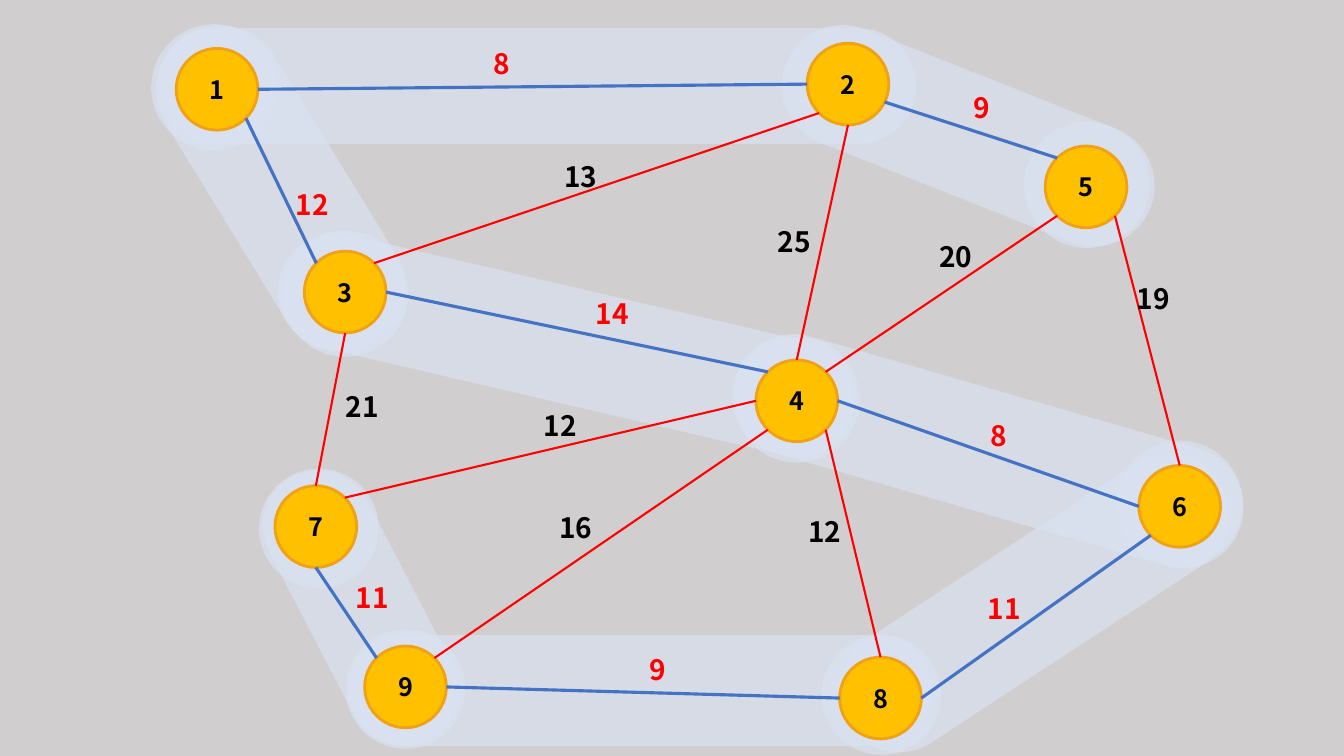
from dataclasses import dataclass
from enum import IntEnum
from math import cos, radians, sin

from lxml.etree import SubElement
from pptx import Presentation
from pptx.dml.color import RGBColor as RGB
from pptx.enum.shapes import MSO_CONNECTOR as LINE, MSO_SHAPE as SHAPE
from pptx.enum.text import MSO_ANCHOR as ANCHOR, MSO_AUTO_SIZE as FIT, PP_ALIGN as ALIGN
from pptx.oxml.ns import qn
from pptx.shapes.autoshape import Shape
from pptx.slide import Slide
from pptx.util import Cm, Pt


@dataclass(frozen=True)
class Theme:
    background: RGB = RGB.from_string("D0CECE")
    glow: RGB = RGB.from_string("DAE3F3")
    glow_alpha: int = 63
    node: RGB = RGB.from_string("FFC000")
    rim: RGB = RGB.from_string("F1A116")
    blue: RGB = RGB.from_string("4472C4")
    red: RGB = RGB.from_string("FF0000")
    black: RGB = RGB.from_string("000000")
    font: str = "Noto Sans CJK KR"
    node_size: Pt = Pt(18)
    weight_size: Pt = Pt(20)
    rim_width: Pt = Pt(2)
    tree_width: Pt = Pt(2.25)
    other_width: Pt = Pt(1.5)


class Side(IntEnum):
    RIGHT = 0
    LOWER_RIGHT = 45
    BOTTOM = 90
    LOWER_LEFT = 135
    LEFT = 180
    UPPER_LEFT = 225
    TOP = 270
    UPPER_RIGHT = 315


@dataclass(frozen=True)
class Node:
    x: float
    y: float

    def rim_point(self, angle: float) -> tuple[Cm, Cm]:
        a = radians(angle)
        return Cm(self.x + RADIUS * cos(a)), Cm(self.y + RADIUS * sin(a))


@dataclass(frozen=True)
class Glow:
    x: float
    y: float
    width: float
    height: float
    rotation: float = 0


@dataclass(frozen=True)
class Edge:
    start: int
    start_angle: float
    end: int
    end_angle: float
    weight: int
    label_x: float
    label_y: float
    in_tree: bool = False


THEME = Theme()
RADIUS = 1.03
NODES = {
    1: Node(5.47, 2.25), 2: Node(21.37, 2.12), 3: Node(8.7, 7.36),
    4: Node(20.08, 10.1), 5: Node(27.37, 4.71), 6: Node(29.73, 12.76),
    7: Node(7.96, 13.27), 8: Node(22.19, 17.59), 9: Node(10.22, 17.31),
}
GLOWS = [
    Glow(9.09, 15.32, 2.79, 7.47, 332.5), Glow(8.04, 13.32, 3.02, 3.02),
    Glow(16.13, 17.4, 2.79, 14.68, 270), Glow(10.22, 17.36, 3.02, 3.02),
    Glow(26.05, 15.19, 3.07, 11.23, 236.8), Glow(22.21, 17.51, 3.02, 3.02),
    Glow(24.9, 11.37, 3.07, 13.28, 286.1), Glow(29.73, 12.69, 3.18, 3.18),
    Glow(14.26, 8.69, 2.92, 14.83, 283.1), Glow(20.08, 10.07, 3.18, 3.18),
    Glow(7.07, 4.75, 3.23, 9.09, 328.5), Glow(8.7, 7.4, 3.18, 3.18),
    Glow(24.4, 3.42, 3.07, 9.88, 291.6), Glow(27.39, 4.66, 3.18, 3.18),
    Glow(13.53, 2.17, 2.92, 19.13, 270), Glow(5.4, 2.2, 3.18, 3.18),
]
EDGES = [
    Edge(1, Side.RIGHT, 2, Side.LEFT, 8, 12.19, 1.04, True),
    Edge(1, Side.LOWER_RIGHT, 3, Side.UPPER_LEFT, 12, 7.21, 4.6, True),
    Edge(5, Side.UPPER_LEFT, 2, 26, 9, 24.28, 2.16, True),
    Edge(3, Side.RIGHT, 4, Side.UPPER_LEFT, 14, 14.76, 7.34, True),
    Edge(4, Side.RIGHT, 6, Side.LEFT, 8, 24.71, 10.41, True),
    Edge(8, Side.RIGHT, 6, Side.LOWER_LEFT, 11, 24.64, 14.78, True),
    Edge(7, Side.BOTTOM, 9, Side.UPPER_LEFT, 11, 8.71, 14.5, True),
    Edge(9, Side.RIGHT, 8, Side.LEFT, 9, 16.13, 16.33, True),
    Edge(3, Side.UPPER_RIGHT, 2, Side.LOWER_LEFT, 13, 13.97, 3.89),
    Edge(2, Side.BOTTOM, 4, Side.TOP, 25, 19.35, 5.54),
    Edge(5, Side.LOWER_LEFT, 4, Side.UPPER_RIGHT, 20, 23.42, 5.92),
    Edge(5, Side.LOWER_RIGHT, 6, Side.TOP, 19, 28.4, 6.96),
    Edge(7, Side.TOP, 3, Side.BOTTOM, 21, 8.46, 9.7),
    Edge(7, Side.UPPER_RIGHT, 4, Side.LEFT, 12, 13.46, 10.16),
    Edge(4, Side.LOWER_LEFT, 9, Side.UPPER_RIGHT, 16, 13.84, 12.73),
    Edge(8, Side.TOP, 4, Side.LOWER_RIGHT, 12, 20.12, 12.83),
]


def add_centred(s: Slide, kind: SHAPE, x: float, y: float, w: float, h: float, fill: RGB) -> Shape:
    """Add a filled shape around a centre point."""
    sp = s.shapes.add_shape(kind, Cm(x - w / 2), Cm(y - h / 2), Cm(w), Cm(h))
    sp.shadow.inherit = False
    sp.fill.solid()
    sp.fill.fore_color.rgb = fill
    return sp


def write_number(sp: Shape, number: int, size: Pt, color: RGB) -> None:
    """Write one bold number into a shape."""
    p = sp.text_frame.paragraphs[0]
    p.text = str(number)
    p.font.name, p.font.size, p.font.bold = THEME.font, size, True
    p.font.color.rgb = color


def draw_glow(s: Slide, glow: Glow) -> None:
    """Draw a translucent disc or rounded band."""
    kind = SHAPE.OVAL if glow.width == glow.height else SHAPE.ROUNDED_RECTANGLE
    sp = add_centred(s, kind, glow.x, glow.y, glow.width, glow.height, THEME.glow)
    if kind == SHAPE.ROUNDED_RECTANGLE:
        sp.adjustments[0] = 0.5
    sp.rotation = glow.rotation
    sp.line.fill.background()
    color = sp.fill._xPr.find(f".//{qn('a:srgbClr')}")
    SubElement(color, qn("a:alpha"), val=str(THEME.glow_alpha * 1000))


def draw_node(s: Slide, number: int, node: Node) -> None:
    """Draw a numbered graph node."""
    sp = add_centred(s, SHAPE.OVAL, node.x, node.y, 2 * RADIUS, 2 * RADIUS, THEME.node)
    sp.line.color.rgb = THEME.rim
    sp.line.width = THEME.rim_width
    sp.text_frame.vertical_anchor = ANCHOR.MIDDLE
    write_number(sp, number, THEME.node_size, THEME.black)
    sp.text_frame.paragraphs[0].alignment = ALIGN.CENTER


def draw_edge(s: Slide, edge: Edge) -> None:
    """Draw the line between two nodes."""
    start = NODES[edge.start].rim_point(edge.start_angle)
    end = NODES[edge.end].rim_point(edge.end_angle)
    line = s.shapes.add_connector(LINE.STRAIGHT, *start, *end)
    line.line.color.rgb = THEME.blue if edge.in_tree else THEME.red
    line.line.width = THEME.tree_width if edge.in_tree else THEME.other_width
    SubElement(line._element.spPr, qn("a:effectLst"))


def draw_weight(s: Slide, edge: Edge) -> None:
    """Write the weight beside an edge."""
    width = 0.91 if edge.weight < 10 else 1.35
    sp = s.shapes.add_textbox(Cm(edge.label_x), Cm(edge.label_y), Cm(width), Cm(1.11))
    sp.text_frame.word_wrap = False
    sp.text_frame.auto_size = FIT.SHAPE_TO_FIT_TEXT
    write_number(sp, edge.weight, THEME.weight_size, THEME.red if edge.in_tree else THEME.black)


def main() -> None:
    """Build the minimum spanning tree slide."""
    prs = Presentation()
    prs.slide_width, prs.slide_height = Cm(33.87), Cm(19.05)
    s = prs.slides.add_slide(prs.slide_layouts[6])
    s.background.fill.solid()
    s.background.fill.fore_color.rgb = THEME.background
    for glow in GLOWS:
        draw_glow(s, glow)
    for number, node in NODES.items():
        draw_node(s, number, node)
    for edge in EDGES:
        draw_edge(s, edge)
    for edge in EDGES:
        draw_weight(s, edge)
    prs.save("out.pptx")


if __name__ == "__main__":
    main()
